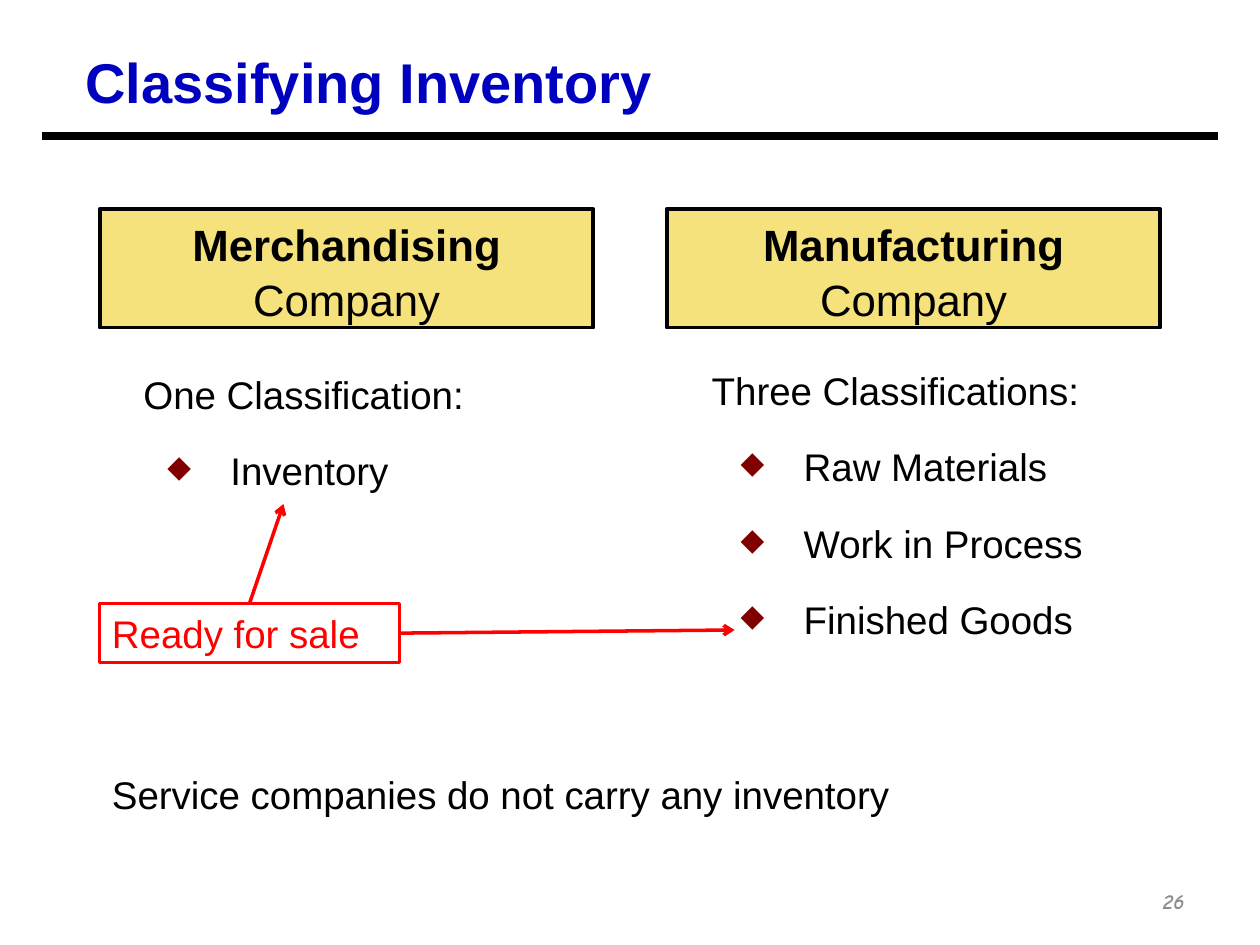
"""Build the Classifying Inventory slide."""
from lxml import etree
from pptx import Presentation
from pptx import util as u
from pptx.dml.color import RGBColor
from pptx.enum import shapes, text
from pptx.oxml import ns

BLUE = RGBColor(0x00, 0x00, 0xBF)
BLACK = RGBColor(0x00, 0x00, 0x00)
WHITE = RGBColor(0xFF, 0xFF, 0xFF)
YELLOW = RGBColor(0xF6, 0xE2, 0x7C)
RED = RGBColor(0xFF, 0x00, 0x00)
GRAY = RGBColor(0x8C, 0x8C, 0x8C)
MAROON = "800000"

deck = Presentation()
deck.slide_width, deck.slide_height = u.Inches(10), u.Inches(7.5)
slide = deck.slides.add_slide(deck.slide_layouts[6])


def add_text(paragraphs, left, top, width, height, size=22, color=BLACK, font="Arial",
             bold=False, italic=False, align=text.PP_ALIGN.LEFT, anchor=text.MSO_ANCHOR.TOP,
             spacing=1.0, fill=None, line=None, line_width=2, indent=0, bullet_indent=0):
    """Add a box; each paragraph is a list of (text, bold) runs or a string, bulleted after the first."""
    area = [u.Inches(n) for n in (left, top, width, height)]
    if fill is None and line is None:
        box = slide.shapes.add_textbox(*area)
    else:
        box = slide.shapes.add_shape(shapes.MSO_SHAPE.RECTANGLE, *area)
        box.shadow.inherit = False
        if fill is None:
            box.fill.background()
        else:
            box.fill.solid()
            box.fill.fore_color.rgb = fill
        if line is None:
            box.line.fill.background()
        else:
            box.line.color.rgb = line
            box.line.width = u.Pt(line_width)
    frame = box.text_frame
    frame.word_wrap = True
    frame.vertical_anchor = anchor
    for i, runs in enumerate(paragraphs):
        para = frame.add_paragraph() if i else frame.paragraphs[0]
        props = para._p.get_or_add_pPr()
        props.set("marL", str(u.Inches(bullet_indent if i else indent)))
        if i:
            para.level = 1
            props.set("indent", str(u.Inches(-0.5)))
            color_tag = etree.SubElement(props, ns.qn("a:buClr"))
            etree.SubElement(color_tag, ns.qn("a:srgbClr"), val=MAROON)
            etree.SubElement(props, ns.qn("a:buSzPct"), val="80000")
            etree.SubElement(props, ns.qn("a:buChar"), char="◆")
            para.space_before = u.Pt(12)
        para.alignment = align
        para.line_spacing = spacing
        for words, strong in [(runs, bold)] if isinstance(runs, str) else runs:
            run = para.add_run()
            run.text = words
            run.font.name, run.font.size = font, u.Pt(size)
            run.font.bold, run.font.italic = strong, italic
            run.font.color.rgb = color
    return box


def add_line(start, end, color, width, arrow=False):
    """Add a straight line, with an optional arrowhead at its end."""
    line = slide.shapes.add_connector(shapes.MSO_CONNECTOR.STRAIGHT,
                                      *[u.Inches(n) for n in (*start, *end)])
    line.line.color.rgb = color
    line.line.width = u.Pt(width)
    if arrow:
        etree.SubElement(line.line._get_or_add_ln(), ns.qn("a:tailEnd"), type="arrow")
    etree.SubElement(line._element.spPr, ns.qn("a:effectLst"))
    return line


add_text(["Classifying Inventory"], 0.58, 0.33, 8.33, 0.61, size=32, color=BLUE, bold=True)
add_line((0.33, 1.08), (9.67, 1.08), BLACK, 4.5)

companies = [
    ("Merchandising ", 0.79, 2.82, 1.17, 0.25, 0.94, ["One Classification:", "Inventory"]),
    ("Manufacturing ", 5.29, 2.79, 2.43, 0.26, 0.99,
     ["Three Classifications:", "Raw Materials", "Work in Process", "Finished Goods"]),
]
for kind, left, top, height, indent, bullet_indent, classes in companies:
    add_text(classes, left, top, 3.92, height, spacing=1.2, fill=WHITE,
             indent=indent, bullet_indent=bullet_indent)
    add_text([[(kind, True), ("Company", False)]], left, 1.66, 3.92, 0.94, size=25,
             align=text.PP_ALIGN.CENTER, spacing=1.05, fill=YELLOW, line=BLACK, line_width=2.25)

add_text(["Service companies do not carry any inventory"], 0.79, 6, 7.41, 0.5,
         spacing=1.2, fill=WHITE)
ready = add_text(["Ready for sale"], 0.79, 4.79, 2.38, 0.47, color=RED, line=RED,
                 anchor=text.MSO_ANCHOR.MIDDLE)
for start, end, side in [((1.98, 4.79), (2.25, 4), 0), ((3.17, 5.02), (5.83, 5), 3)]:
    add_line(start, end, RED, 2, arrow=True).begin_connect(ready, side)

add_text(["26"], 7.17, 6.95, 2.33, 0.4, size=12, color=GRAY, font="Comic Neue", bold=True,
         italic=True, align=text.PP_ALIGN.RIGHT, anchor=text.MSO_ANCHOR.MIDDLE)

deck.save("out.pptx")
